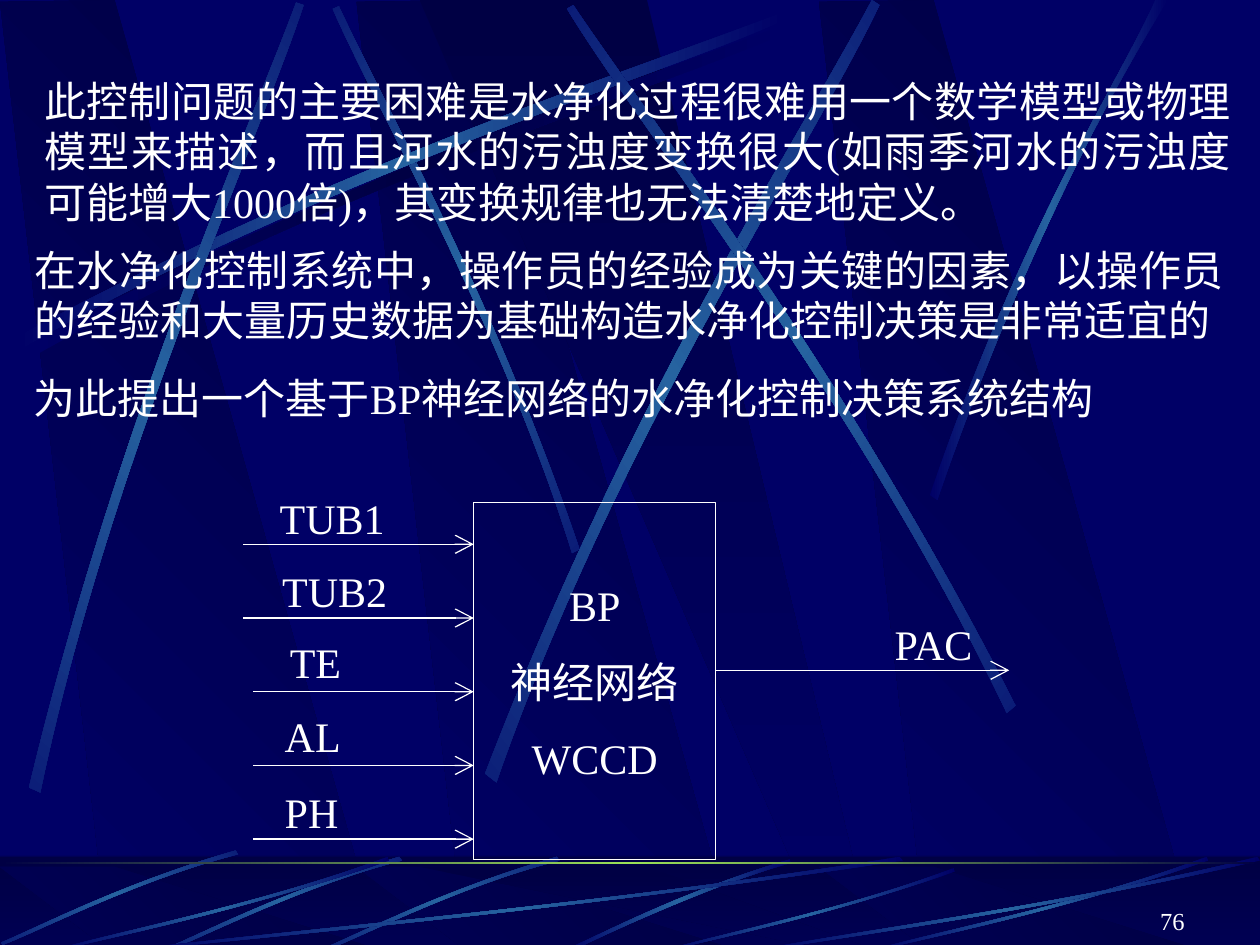
from math import cos, radians, sin

from lxml import etree
from pptx import Presentation
from pptx.dml.color import RGBColor
from pptx.enum.shapes import MSO_CONNECTOR, MSO_SHAPE
from pptx.enum.text import MSO_ANCHOR, PP_ALIGN
from pptx.oxml.ns import qn
from pptx.util import Emu, Pt

RECTANGLE = MSO_SHAPE.RECTANGLE
STRAIGHT = MSO_CONNECTOR.STRAIGHT
TOP = MSO_ANCHOR.TOP
LEFT, CENTER, RIGHT, JUSTIFY = PP_ALIGN.LEFT, PP_ALIGN.CENTER, PP_ALIGN.RIGHT, PP_ALIGN.JUSTIFY

PX = 9144  # 100 px to the inch
WIDTH, HEIGHT = 1000, 750
COLORS = {"night": "000066", "dark": "000044", "beam": "2663A0", "glow": "9CE157", "white": "FFFFFF"}
SHADE = ("dark", "night")
BEAM = ("night", "beam", "night")
SHADOW = ("night", "dark", "night")
HORIZON = ("dark", "glow", "dark")
LATIN, CJK = "Times New Roman", "Noto Sans CJK SC"

# Text: box, alignment, size, spans of (text, font)
TEXTS = [
    ((717, 714, 233, 22), RIGHT, 14, [("76", LATIN)]),
    ((35, 60, 942, 120), JUSTIFY, 24, [
        ("此控制问题的主要困难是水净化过程很难用一个数学模型或物理模型来描述，而且河水的污浊度变换很大", CJK),
        ("(", LATIN), ("如雨季河水的污浊度可能增大", CJK), ("1000", LATIN), ("倍", CJK),
        (")", LATIN), ("，其变换规律也无法清楚地定义。", CJK)]),
    ((27, 194, 945, 80), JUSTIFY, 24, [
        ("在水净化控制系统中，操作员的经验成为关键的因素，以操作员的经验和大量历史数据为基础构造水净化控制决策是非常适宜的", LATIN)]),
    ((27, 296, 937, 40), LEFT, 24, [("为此提出一个基于BP神经网络的水净化控制决策系统结构", LATIN)]),
]
NETWORK = ["BP", "神经网络", "WCCD"]
NETWORK_BOX = (376, 399, 192, 283)
NETWORK_INSET = 61
# Inputs: label, label left, label top, arrow start
INPUTS = [("TUB1", 222, 391, 193), ("TUB2", 224, 449, 193), ("TE", 230, 505, 201),
          ("AL", 226, 564, 201), ("PH", 226, 624, 201)]
FIRST_INPUT, INPUT_STEP = 432, 58.5
OUTPUT, OUTPUT_BOX = "PAC", (710, 491, 75, 40)
OUTPUT_Y, OUTPUT_END = 532, 801

# Planks: outlines in percent of their box
SLANTED = [(28.5, 99.8), (100, 100), (30.1, 0), (0, 0.2)]
FLARED = [(0, 0), (90, 100), (100, 100), (50, 0)]
PLANKS = [(SLANTED, 283, 302, 135), (SLANTED, 0, 302, 135), (SLANTED, 650, 302, 135), (FLARED, 333, 361, 90)]

# Beams: two cubic curves of four points each, joined by straight ends
SWEEP = [(14, 267), (278, 125), (518, 51), (620, 10), (623, 16), (522, 61), (248, 143), (17, 277)]
BEAMS = [
    ([(x + 6, y + 8) for x, y in SWEEP], 0, SHADOW),
    ([(460, 436), (391, 234), (302, 77), (269, 5), (264, 7), (295, 79), (398, 258), (454, 439)], 45, BEAM),
    (SWEEP, 0, BEAM),
    ([(23, 625), (93, 334), (197, 105), (235, 2), (241, 4), (207, 108), (86, 368), (32, 629)], 311.7, BEAM),
    ([(385, 614), (498, 320), (638, 102), (692, 0), (698, 4), (649, 108), (486, 355), (394, 621)], 321.6, BEAM),
    ([(806, 560), (670, 293), (516, 95), (455, 4), (450, 7), (507, 101), (685, 325), (799, 566)], 34.8, BEAM),
    ([(738, 393), (814, 173), (888, 66), (917, 0), (927, 0), (836, 145), (769, 322), (744, 397)], 0, BEAM),
]
FLOOR_ARC = [(627, 682), (537, 709), (477, 742), (448, 754), (453, 755), (490, 737), (571, 700), (628, 685)]
FLOOR_TILTED = [(442, 680), (355, 705), (287, 740), (256, 753), (257, 755), (288, 743), (365, 703), (444, 683)]
TILTED_SHIFTS = [(0, 0), (-125, 0), (-255, -5)]
FLOOR_RAY = [(100, 4), (56.6, 57), (17.2, 85), (0.5, 100), (0, 99), (16.5, 81), (61.6, 51), (99.5, 0)]
RAY_BOXES = [(100, 680, 617, 75), (42, 680, 267, 75), (527, 689, 231, 66), (692, 680, 267, 75), (600, 680, 400, 75)]


def px(value):
    return Emu(round(value * PX))


def rgb(name):
    return RGBColor.from_string(COLORS[name])


def fit(outline, box):
    """Turn percent points into px points inside box."""
    left, top, width, height = box
    return [(left + x * width / 100, top + y * height / 100) for x, y in outline]


def turn(point, degrees):
    """Turn a point clockwise about the page corner."""
    (x, y), c, s = point, cos(radians(degrees)), sin(radians(degrees))
    return x * c - y * s, x * s + y * c


def paint_gradient(shape, names, angle):
    shape.shadow.inherit = False
    shape.line.fill.background()
    shape.fill.gradient()
    gradient = shape._element.spPr.find(qn("a:gradFill"))
    gradient.clear()
    gradient.set("rotWithShape", "1")
    stops = etree.SubElement(gradient, qn("a:gsLst"))
    for index, name in enumerate(names):
        stop = etree.SubElement(stops, qn("a:gs"), pos=str(100000 * index // (len(names) - 1)))
        etree.SubElement(stop, qn("a:srgbClr"), val=COLORS[name])
    etree.SubElement(gradient, qn("a:lin"), ang=str(angle * 60000), scaled="0")


def add_outline(slide, points, names, angle):
    points = [(px(x), px(y)) for x, y in points]
    builder = slide.shapes.build_freeform(*points[0])
    builder.add_line_segments(points[1:], close=True)
    shape = builder.convert_to_shape()
    paint_gradient(shape, names, angle)
    return shape


def bend(shape):
    """Make cubic curves of the first three and the last three segments."""
    segments = list(shape._element.iter(qn("a:lnTo")))
    for group in (segments[:3], segments[4:7]):
        cubic = etree.Element(qn("a:cubicBezTo"))
        group[0].addprevious(cubic)
        for segment in group:
            cubic.append(segment[0])
            segment.getparent().remove(segment)


def add_beam(slide, points, rotation=0, names=BEAM):
    """Draw the beam level, then turn it, so that its gradient runs along it."""
    level = [turn(point, -rotation) for point in points]
    center = [(min(values) + max(values)) / 2 for values in zip(*level)]
    across, down = (new - old for new, old in zip(turn(center, rotation), center))
    shape = add_outline(slide, [(x + across, y + down) for x, y in level], names, 180)
    bend(shape)
    shape.rotation = rotation


def add_planks(slide, top, height):
    for outline, left, width, angle in PLANKS:
        add_outline(slide, fit(outline, (left, top, width, height)), SHADE, angle)


def add_rectangle(slide, box):
    shape = slide.shapes.add_shape(RECTANGLE, *map(px, box))
    shape.shadow.inherit = False
    return shape


def add_span(para, text, font, size=24):
    span = para.add_run()
    span.text = text
    span.font.name, span.font.size = font, Pt(size)
    span.font.color.rgb = rgb("white")
    etree.SubElement(span._r.get_or_add_rPr(), qn("a:ea"), typeface=CJK)


def set_frame(frame, across=0, down=0):
    frame.word_wrap = True
    frame.vertical_anchor = TOP
    frame.margin_left = frame.margin_right = px(across)
    frame.margin_top = frame.margin_bottom = px(down)


def add_text(slide, box, align, size, spans):
    frame = slide.shapes.add_textbox(*map(px, box)).text_frame
    set_frame(frame, *((10, 5) if align == RIGHT else (0, 0)))
    para = frame.paragraphs[0]
    para.alignment = align
    for text, font in spans:
        add_span(para, text, font, size)


def add_arrow(slide, start, end, y):
    arrow = slide.shapes.add_connector(STRAIGHT, px(start), px(y), px(end), px(y))
    arrow.line.color.rgb, arrow.line.width = rgb("white"), Pt(0.75)
    etree.SubElement(arrow.line._get_or_add_ln(), qn("a:tailEnd"), type="arrow", w="lg", len="lg")
    etree.SubElement(arrow._element.spPr, qn("a:effectLst"))


def add_backdrop(slide):
    slide.background.fill.solid()
    slide.background.fill.fore_color.rgb = rgb("night")
    add_planks(slide, 0, 752)
    for beam in BEAMS:
        add_beam(slide, *beam)
    paint_gradient(add_rectangle(slide, (0, 680, WIDTH, 75)), SHADE, 90)
    add_planks(slide, 688, 66)
    veil = add_rectangle(slide, (0, 679, WIDTH, 75))
    veil.line.fill.background()
    veil.fill.solid()
    veil.fill.fore_color.rgb = rgb("dark")
    etree.SubElement(veil._element.spPr.find(".//" + qn("a:srgbClr")), qn("a:alpha"), val="50000")
    add_beam(slide, FLOOR_ARC)
    for across, down in TILTED_SHIFTS:
        add_beam(slide, [(x + across, y + down) for x, y in FLOOR_TILTED], 314.9)
    for box in RAY_BOXES:
        add_beam(slide, fit(FLOOR_RAY, box))
    paint_gradient(add_rectangle(slide, (0, 684, WIDTH, 2)), HORIZON, 180)


def add_network(slide):
    box = add_rectangle(slide, NETWORK_BOX)
    box.fill.background()
    box.line.color.rgb, box.line.width = rgb("white"), Pt(0.75)
    frame = box.text_frame
    set_frame(frame)
    frame.margin_top = px(NETWORK_INSET)
    for index, text in enumerate(NETWORK):
        para = frame.add_paragraph() if index else frame.paragraphs[0]
        para.alignment = CENTER
        if index:
            para.space_before = Pt(15)
        add_span(para, text, LATIN)
    left, _, width, _ = NETWORK_BOX
    for index, (label, label_left, label_top, start) in enumerate(INPUTS):
        add_arrow(slide, start, left, FIRST_INPUT + index * INPUT_STEP)
        add_text(slide, (label_left, label_top, 96, 40), LEFT, 24, [(label, LATIN)])
    add_arrow(slide, left + width, OUTPUT_END, OUTPUT_Y)
    add_text(slide, OUTPUT_BOX, LEFT, 24, [(OUTPUT, LATIN)])


deck = Presentation()
deck.slide_width, deck.slide_height = px(WIDTH), px(HEIGHT)
page = deck.slides.add_slide(deck.slide_layouts[6])
add_backdrop(page)
for text_item in TEXTS:
    add_text(page, *text_item)
add_network(page)
deck.save("out.pptx")
